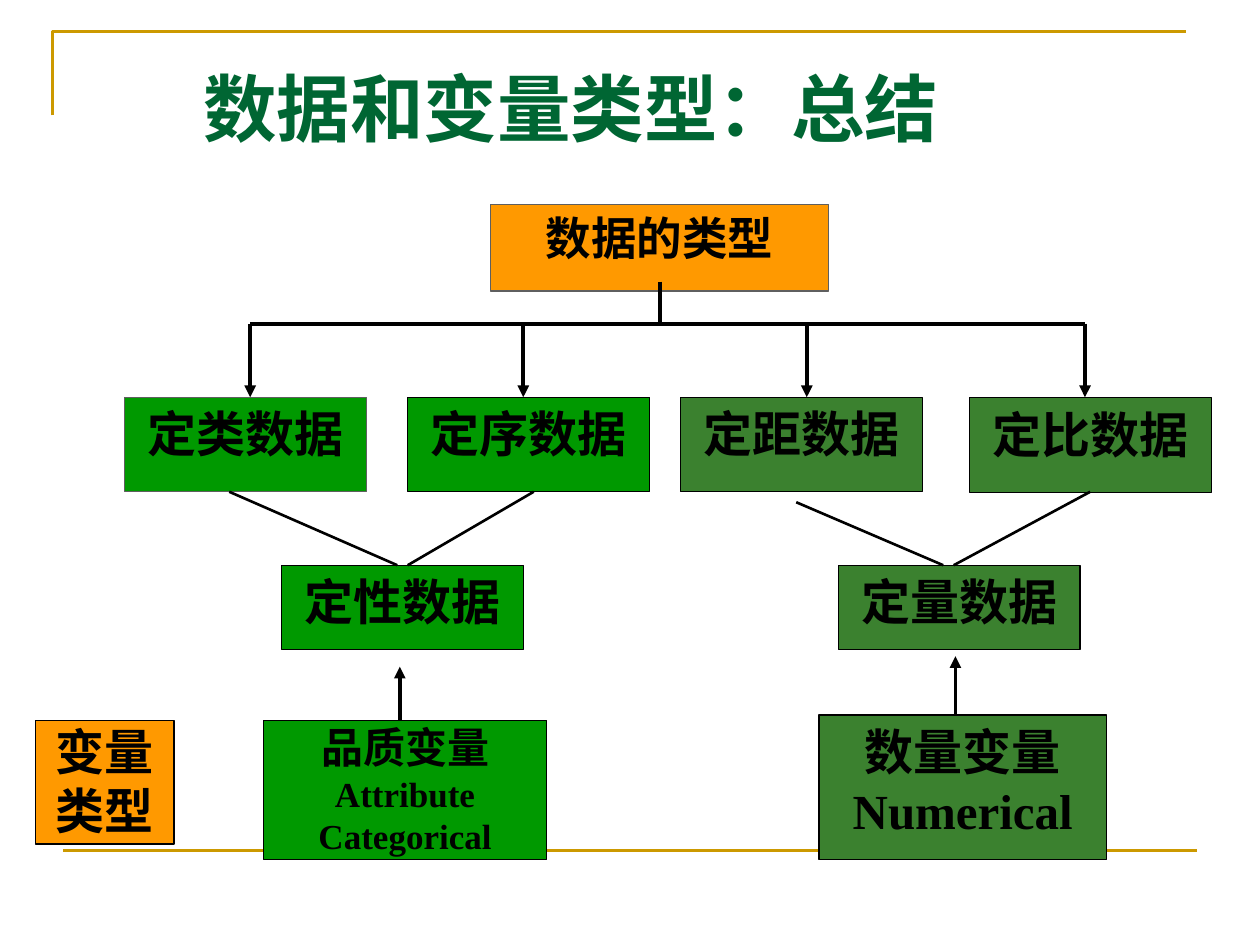
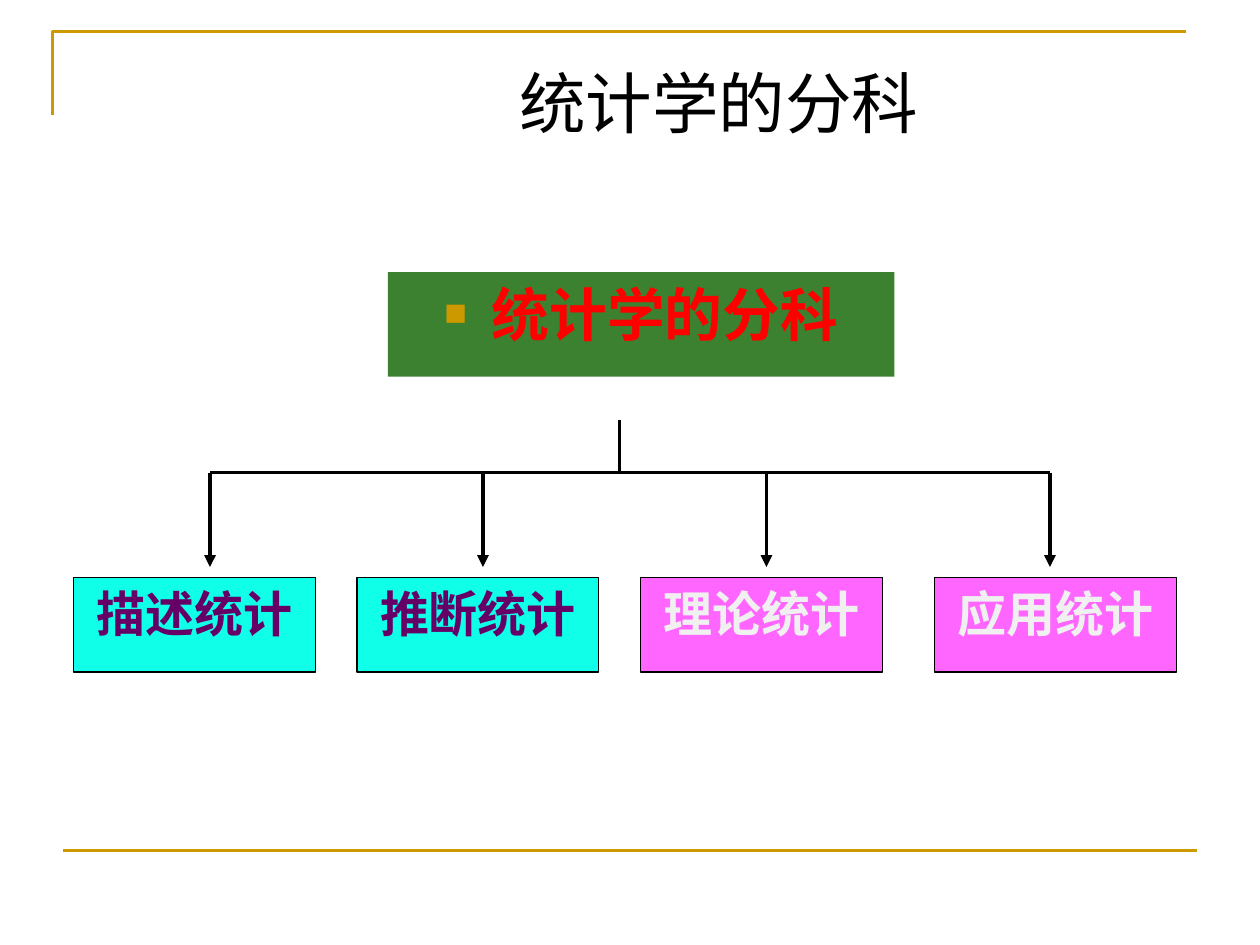
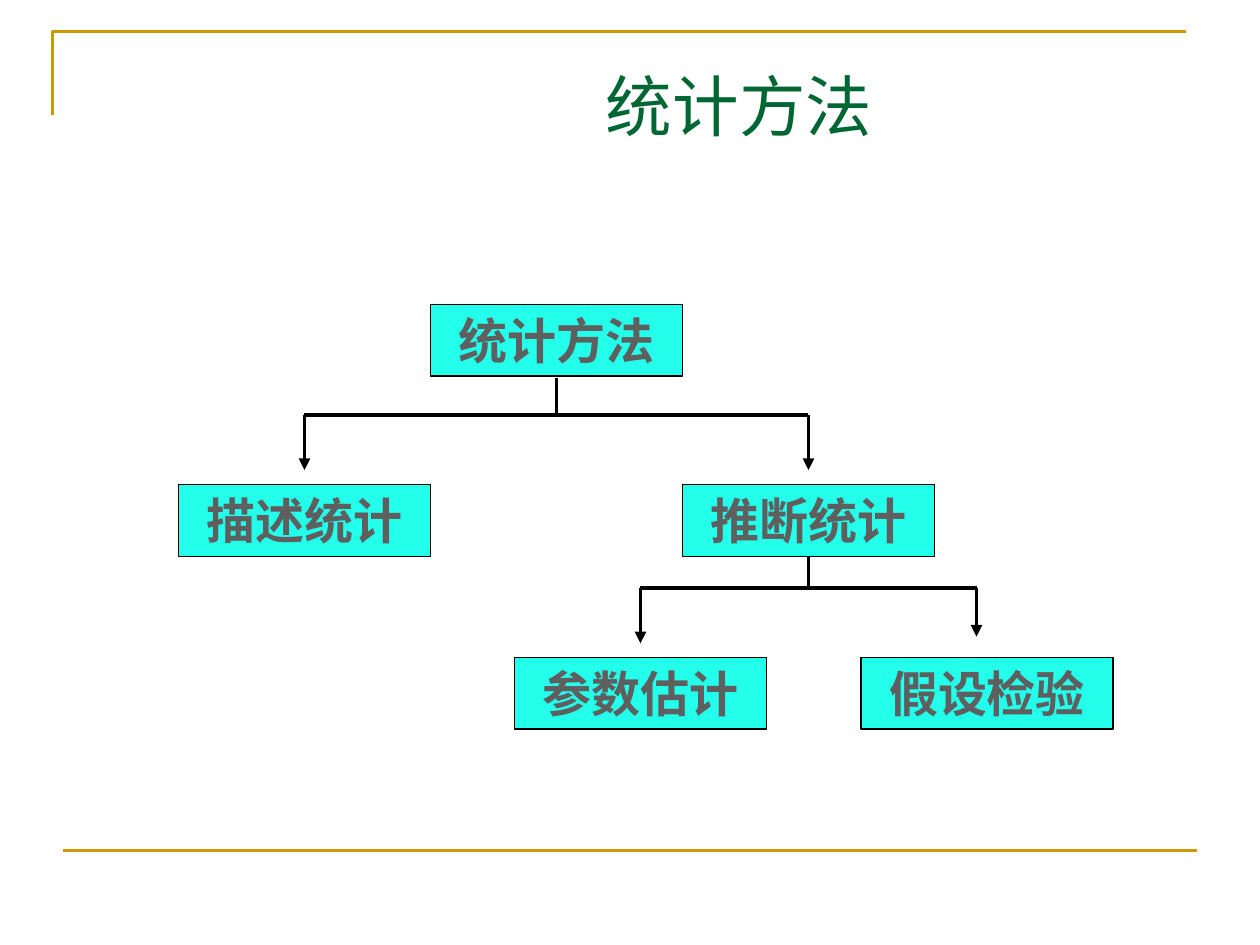
import dataclasses
import typing

import lxml.etree
import pptx
import pptx.dml.color
import pptx.enum.shapes
import pptx.enum.text
import pptx.oxml.ns
import pptx.util

Pt = pptx.util.Pt
Point = tuple[float, float]

COLORS = {
    "gold": "CC9900",
    "title green": "006633",
    "orange": "FF9900",
    "bright green": "009900",
    "dark green": "3B812F",
    "cyan": "0FFFE8",
    "light cyan": "23FFEA",
    "pink": "FF66FF",
    "purple": "660066",
    "pale": "F0F0F0",
    "gray": "5F5F5F",
    "red": "FF0000",
    "black": "000000",
}
SERIF, SANS = "Times New Roman", "Arial"


@dataclasses.dataclass(frozen=True)
class Box:
    text: str
    left: float
    top: float
    width: float
    height: float
    fill: str
    line: str | None = "black"
    color: str = "black"
    font: str = SERIF
    size: float = 28
    first_size: float | None = None
    inset_top: float = 3.6
    bullet: bool = False


@dataclasses.dataclass(frozen=True)
class Branch:
    """A stem that falls to a bar, from which arrows drop to their tips."""
    stem: Point
    bar_y: float
    tips: tuple[Point, ...]


def rgb(name: str) -> pptx.dml.color.RGBColor:
    return pptx.dml.color.RGBColor.from_string(COLORS[name])


def add_element(parent: typing.Any, tag: str, **attributes: str) -> None:
    element = lxml.etree.SubElement(parent, pptx.oxml.ns.qn(tag))
    for name, value in attributes.items():
        element.set(name, value)


# Text
def add_bullet(paragraph: typing.Any) -> None:
    properties = paragraph._p.get_or_add_pPr()
    properties.set("marL", str(Pt(27)))
    properties.set("indent", str(Pt(-27)))
    add_element(properties, "a:buClr")
    add_element(properties[-1], "a:srgbClr", val=COLORS["gold"])
    add_element(properties, "a:buSzPct", val="65000")
    add_element(properties, "a:buFont", typeface=SANS)
    add_element(properties, "a:buChar", char="■")


def write_text(shape: typing.Any, text: str, *, size: float, color: str, font: str = SERIF,
               bold: bool = True, first_size: float | None = None, inset_top: float = 3.6,
               middle: bool = False, bullet: bool = False) -> None:
    frame = shape.text_frame
    frame.word_wrap = True
    frame.margin_left = frame.margin_right = Pt(7.2)
    frame.margin_top, frame.margin_bottom = Pt(inset_top), Pt(3.6)
    anchors = pptx.enum.text.MSO_ANCHOR
    frame.vertical_anchor = anchors.MIDDLE if middle else anchors.TOP
    for index, line in enumerate(text.split("\n")):
        paragraph = frame.add_paragraph() if index else frame.paragraphs[0]
        paragraph.alignment = pptx.enum.text.PP_ALIGN.CENTER
        if bullet:
            add_bullet(paragraph)
        run = paragraph.add_run()
        run.text = line
        run.font.name, run.font.bold = font, bold
        run.font.size = Pt(first_size if first_size and index == 0 else size)
        run.font.color.rgb = rgb(color)
        run._r.get_or_add_rPr().set("lang", "zh-CN")


# Shapes and lines
def draw_box(slide: typing.Any, box: Box) -> None:
    shape = slide.shapes.add_shape(pptx.enum.shapes.MSO_SHAPE.RECTANGLE, Pt(box.left),
                                   Pt(box.top), Pt(box.width), Pt(box.height))
    shape.shadow.inherit = False
    shape.fill.solid()
    shape.fill.fore_color.rgb = rgb(box.fill)
    if box.line:
        shape.line.color.rgb = rgb(box.line)
        shape.line.width = Pt(0.75)
    else:
        shape.line.fill.background()
    write_text(shape, box.text, size=box.size, color=box.color, font=box.font,
               first_size=box.first_size, inset_top=box.inset_top, bullet=box.bullet)


def draw_line(slide: typing.Any, start: Point, end: Point, *, width: float = 2.25,
              color: str = "black", arrow: bool = False) -> None:
    connector = slide.shapes.add_connector(pptx.enum.shapes.MSO_CONNECTOR.STRAIGHT,
                                           *map(Pt, start + end))
    connector.line.color.rgb = rgb(color)
    connector.line.width = Pt(width)
    if arrow:
        add_element(connector.line._get_or_add_ln(), "a:tailEnd", type="triangle")
    add_element(connector._element.spPr, "a:effectLst")


def draw_branch(slide: typing.Any, branch: Branch) -> None:
    draw_line(slide, branch.stem, (branch.stem[0], branch.bar_y))
    draw_line(slide, (branch.tips[0][0], branch.bar_y), (branch.tips[-1][0], branch.bar_y))
    for tip in branch.tips:
        draw_line(slide, (tip[0], branch.bar_y), tip, arrow=True)


# Shared slide frame and title
def start_slide(presentation: typing.Any, title: str, area: tuple[float, float, float, float],
                *, size: float = 38, color: str = "title green", bold: bool = False) -> typing.Any:
    slide = presentation.slides.add_slide(presentation.slide_layouts[6])
    builder = slide.shapes.build_freeform(Pt(30), Pt(66))
    builder.add_line_segments([(Pt(30), Pt(18)), (Pt(678), Pt(18))], close=False)
    corner = builder.convert_to_shape()
    corner.shadow.inherit = False
    corner.fill.background()
    corner.line.color.rgb = rgb("gold")
    corner.line.width = Pt(1.5)
    draw_line(slide, (36, 486), (684, 486), width=1.5, color="gold")
    heading = slide.shapes.add_textbox(*map(Pt, area))
    write_text(heading, title, size=size, color=color, bold=bold, middle=True)
    return slide


def build_data_types(presentation: typing.Any) -> None:
    slide = start_slide(presentation, "数据和变量类型：总结", (70.5, 31.7, 511.2, 59), size=42, bold=True)
    width = 138.2
    # Variable arrows lie beneath their boxes
    draw_line(slide, (228.5, 412), (228.5, 381), arrow=True)
    draw_line(slide, (546, 409), (546, 375), arrow=True)
    boxes = [
        Box("数据的类型", 280.5, 116.7, 193, 49.7, "orange", "gray", font=SANS, size=26),
        Box("定类数据", 71.2, 227, width, 54, "bright green", "gray"),
        Box("定序数据", 233, 227, width, 54, "bright green"),
        Box("定距数据", 388.8, 227, width, 54, "dark green"),
        Box("定比数据", 554, 227.3, width, 54, "dark green"),
        Box("定性数据", 161, 323, width, 48, "bright green"),
        Box("定量数据", 479, 323, width, 48, "dark green"),
        Box("品质变量\nAttribute\nCategorical", 150.5, 411.7, 162, 79.4, "bright green",
            size=20, first_size=24, inset_top=0.7),
        Box("数量变量\nNumerical", 468, 408.6, 164.3, 82.6, "dark green"),
        Box("变量类型", 20.2, 411.7, 79.2, 70.6, "orange", inset_top=0.7),
    ]
    for box in boxes:
        draw_box(slide, box)
    draw_branch(slide, Branch((377, 161), 185, ((143, 227), (299, 227), (461, 227), (620, 227))))
    # Pairs of data types merging into one
    for start, end in [((131, 281), (227, 323)), ((305, 281), (233, 323)),
                       ((455, 287), (539, 323)), ((623, 281), (545, 323))]:
        draw_line(slide, start, end, width=1.5)


def build_branches_of_statistics(presentation: typing.Any) -> None:
    slide = start_slide(presentation, "统计学的分科", (131.8, 13.7, 558, 88.6), color="black")
    draw_box(slide, Box("统计学的分科", 221.7, 155.5, 289.4, 59.7, "dark green", None,
                        color="red", font=SANS, size=33, bullet=True))
    for text, left, fill, color in [("描述统计", 42, "cyan", "purple"),
                                    ("推断统计", 204, "cyan", "purple"),
                                    ("理论统计", 366, "pink", "pale"),
                                    ("应用统计", 534, "pink", "pale")]:
        draw_box(slide, Box(text, left, 330, 138.2, 54, fill, color=color))
    draw_branch(slide, Branch((354, 240), 270, ((120, 324), (276, 324), (438, 324), (600, 324))))


def build_methods(presentation: typing.Any) -> None:
    slide = start_slide(presentation, "统计方法", (170, 21.6, 504.7, 77))
    for text, left, top in [("统计方法", 246, 174), ("描述统计", 102, 277), ("推断统计", 390, 277),
                            ("参数估计", 294, 375.7), ("假设检验", 492, 375.7)]:
        draw_box(slide, Box(text, left, top, 144, 41, "light cyan", color="gray", font=SANS))
    draw_branch(slide, Branch((318, 216), 237, ((174, 268.6), (462, 268.6))))
    draw_branch(slide, Branch((462, 318), 336, ((366, 367.6), (558, 363.8))))


def main() -> None:
    presentation = pptx.Presentation()
    presentation.slide_width, presentation.slide_height = Pt(720), Pt(540)
    build_data_types(presentation)
    build_branches_of_statistics(presentation)
    build_methods(presentation)
    presentation.save("out.pptx")


if __name__ == "__main__":
    main()
